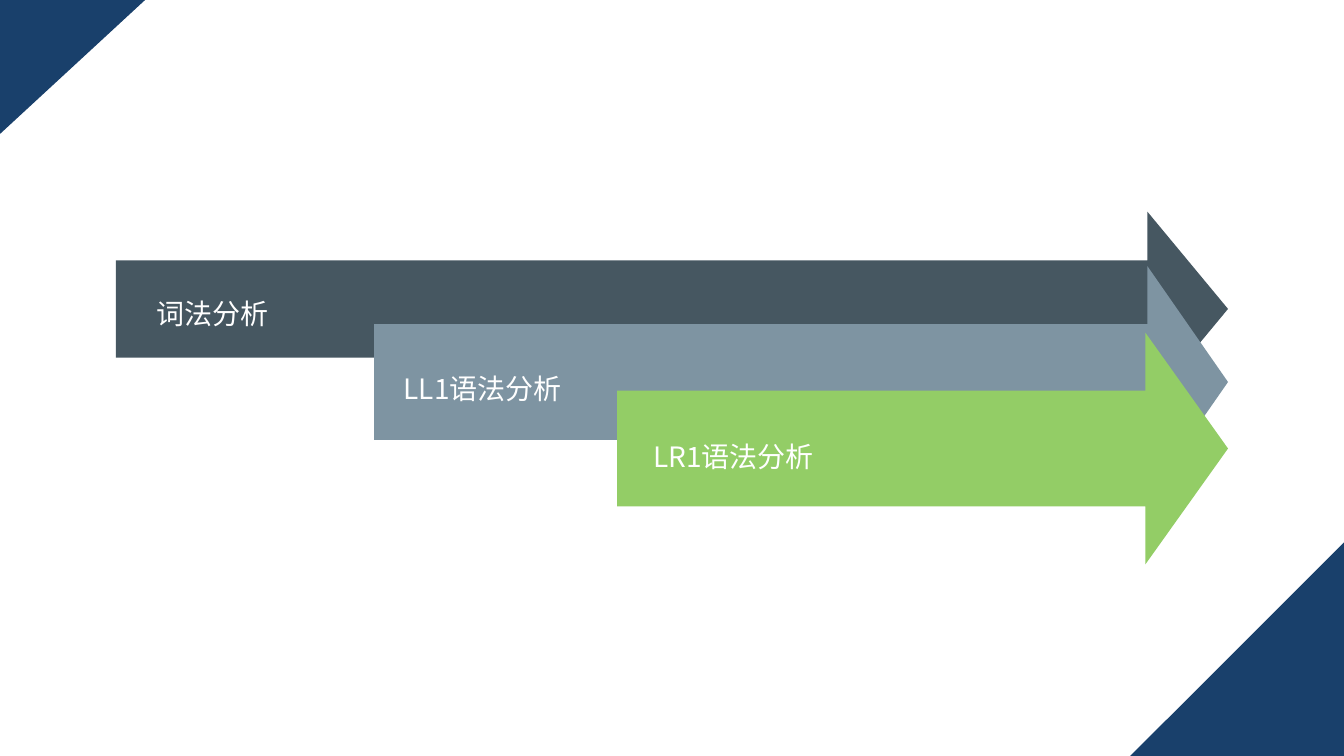
from typing import NamedTuple

from lxml import etree
from pptx import Presentation
from pptx.dml.color import RGBColor
from pptx.enum import shapes, text
from pptx.oxml.ns import qn
from pptx.util import Inches, Pt

FONT = "Noto Sans CJK SC"
COLOURS = {
    "navy": "19406B",
    "slate": "465761",
    "steel": "7E94A2",
    "green": "93CD66",
    "white": "FFFFFF",
}
ARROW_TIP = 12.18


class Corner(NamedTuple):
    left: float
    top: float
    width: float
    height: float
    rotation: float


class Stage(NamedTuple):
    label: str
    colour: str
    left: float
    top: float
    height: float
    head: float
    label_left: float
    label_top: float
    label_width: float


CORNERS = [
    Corner(0, 0, 1.44, 1.33, 0),
    Corner(11.19, 5.36, 2.16, 2.16, 180),
]
STAGES = [
    Stage("词法分析", "slate", 1.15, 2.1, 1.93, 0.8, 0.74, 2.73, 2.73),
    Stage("LL1语法分析", "steel", 3.71, 2.64, 2.3, 0.8, 3.46, 3.47, 2.66),
    Stage("LR1语法分析", "green", 6.12, 3.3, 2.3, 0.82, 5.91, 4.14, 2.73),
]


def add_filled(page, kind, left: float, top: float, width: float, height: float, colour: str):
    shape = page.shapes.add_shape(kind, Inches(left), Inches(top), Inches(width), Inches(height))
    shape.shadow.inherit = False
    shape.fill.solid()
    shape.fill.fore_color.rgb = RGBColor.from_string(COLOURS[colour])
    shape.line.fill.background()
    return shape


def add_corner(page, corner: Corner) -> None:
    triangle = add_filled(page, shapes.MSO_SHAPE.RIGHT_TRIANGLE, *corner[:4], "navy")
    triangle.rotation = corner.rotation
    triangle._element.spPr.get_or_add_xfrm().set("flipV", "1")


def add_arrow(page, stage: Stage) -> None:
    """Draw an arrow whose shaft is half as high as its head."""
    arrow = add_filled(page, shapes.MSO_SHAPE.RIGHT_ARROW, stage.left, stage.top,
                       ARROW_TIP - stage.left, stage.height, stage.colour)
    arrow.adjustments[0] = 0.5
    arrow.adjustments[1] = stage.head / stage.height


def add_text(page, words: str, *, left: float, top: float, width: float, height: float = 0.55,
             size: float = 20, colour: str = "white", spacing: float = 1.5) -> None:
    box = page.shapes.add_textbox(Inches(left), Inches(top), Inches(width), Inches(height))
    frame = box.text_frame
    frame.word_wrap = True
    frame.auto_size = text.MSO_AUTO_SIZE.SHAPE_TO_FIT_TEXT
    para = frame.paragraphs[0]
    para.alignment = text.PP_ALIGN.CENTER
    para.line_spacing = spacing
    span = para.add_run()
    span.text = words
    span.font.size = Pt(size)
    span.font.name = FONT
    span.font.color.rgb = RGBColor.from_string(COLOURS[colour])
    east_asian = etree.Element(qn("a:ea"), typeface=FONT)
    span.font._element.find(qn("a:latin")).addnext(east_asian)


def main() -> None:
    deck = Presentation()
    deck.slide_width = Inches(13.33)
    deck.slide_height = Inches(7.5)
    page = deck.slides.add_slide(deck.slide_layouts[6])
    for corner in CORNERS:
        add_corner(page, corner)
    for stage in STAGES:
        add_arrow(page, stage)
    for stage in STAGES:
        add_text(page, stage.label, left=stage.label_left, top=stage.label_top,
                 width=stage.label_width)
    deck.save("out.pptx")


if __name__ == "__main__":
    main()
